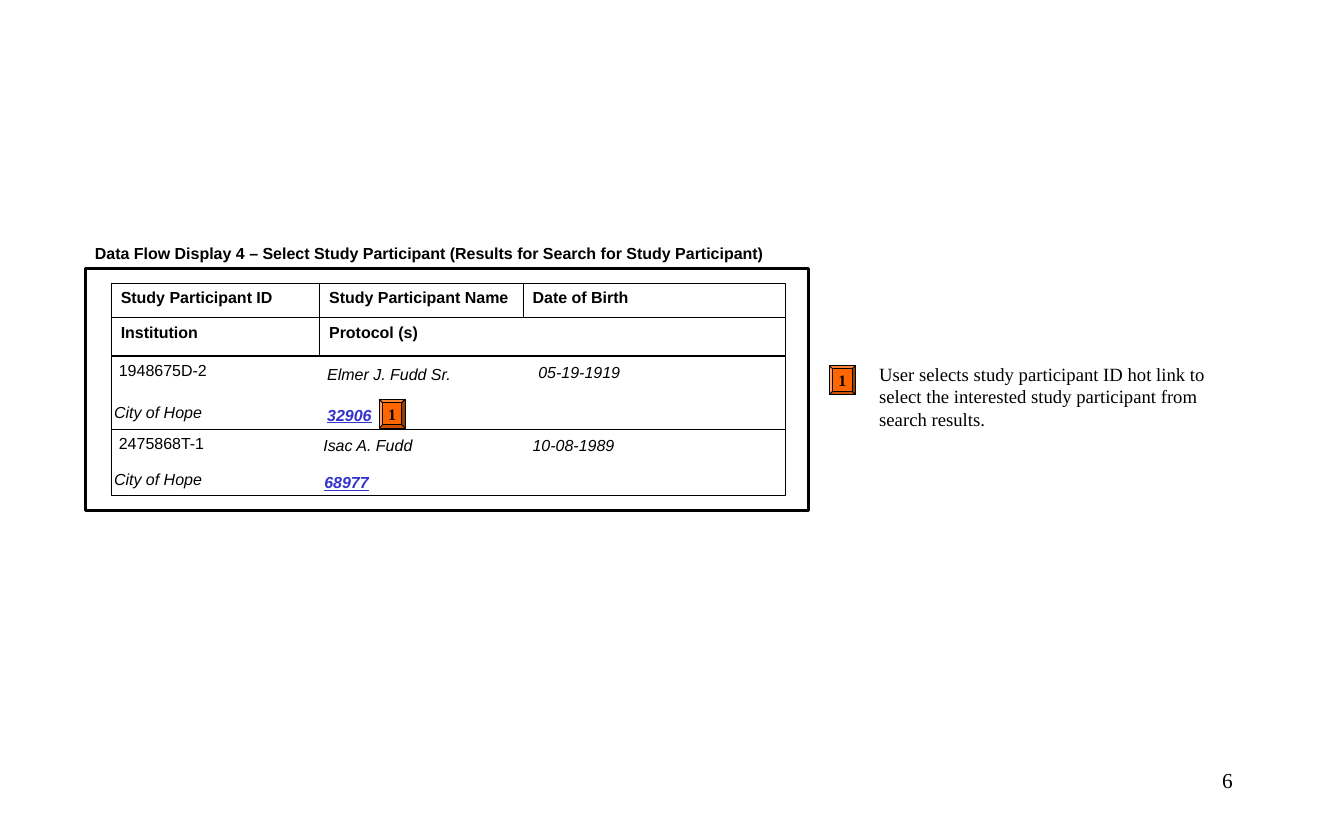
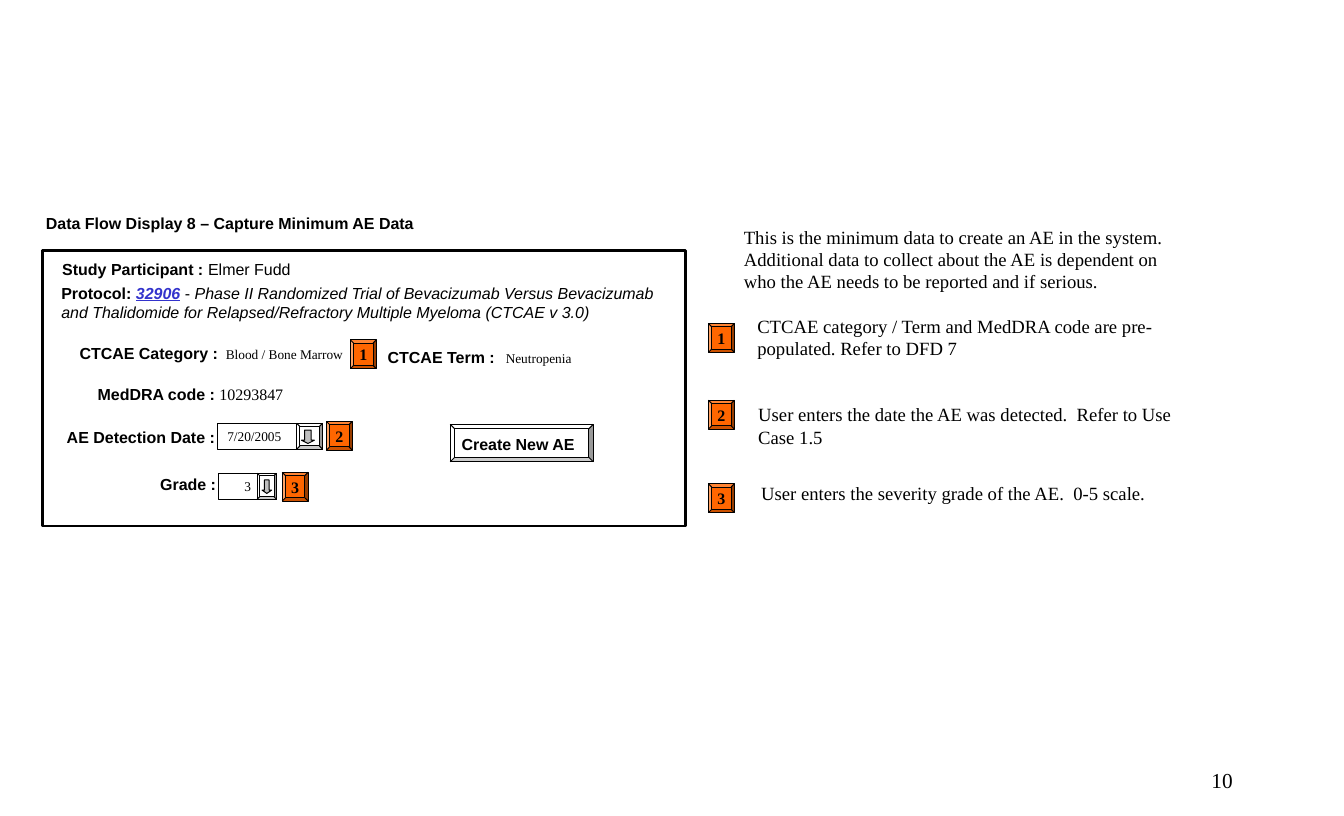
"""Build two data flow display slides for adverse event reporting."""
from pptx import Presentation
from pptx.dml.color import RGBColor
from pptx.enum.shapes import MSO_SHAPE
from pptx.enum.text import MSO_ANCHOR, PP_ALIGN
from pptx.util import Inches, Pt

COLUMNS, ROWS = 14, 8.5
SLIDE_WIDTH, SLIDE_HEIGHT = Inches(COLUMNS), Inches(ROWS)
COLORS = {"ink": "000000", "paper": "FFFFFF", "badge": "FF6600",
          "link": "3333CC", "arrow": "C0C0C0"}
SANS, SERIF = "Arial", "Times New Roman"
ALIGNMENTS = {"left": PP_ALIGN.LEFT, "center": PP_ALIGN.CENTER,
              "right": PP_ALIGN.RIGHT}
BADGE_WIDTH, BADGE_HEIGHT = 0.27, 0.3
LINK = {"color": "link", "bold": True, "italic": True, "underline": True}
NOTE = {"font": SERIF, "size": 14}
VALUE = {"font": SERIF, "size": 10}


def color_of(name):
    """Return the named palette color."""
    return RGBColor.from_string(COLORS[name])


def place(left, top, width, height):
    """Turn grid columns and rows into slide lengths."""
    across, down = SLIDE_WIDTH / COLUMNS, SLIDE_HEIGHT / ROWS
    return (round(left * across), round(top * down),
            round(width * across), round(height * down))


def write_text(shape, content, align="left", anchor=MSO_ANCHOR.TOP, wrap=True,
               margins=(0.1, 0.05), **style):
    """Write a string, or a list of (text, style) runs, into a shape."""
    frame = shape.text_frame
    frame.word_wrap = wrap
    frame.vertical_anchor = anchor
    frame.margin_left = frame.margin_right = Inches(margins[0])
    frame.margin_top = frame.margin_bottom = Inches(margins[1])
    paragraph = frame.paragraphs[0]
    paragraph.alignment = ALIGNMENTS[align]
    runs = [(content, {})] if isinstance(content, str) else content
    for text, changes in runs:
        look = {**style, **changes}
        run = paragraph.add_run()
        run.text = text
        run.font.name = look.get("font", SANS)
        run.font.size = Pt(look.get("size", 12))
        run.font.bold = look.get("bold", False)
        run.font.italic = look.get("italic", False)
        run.font.underline = look.get("underline", False)
        run.font.color.rgb = color_of(look.get("color", "ink"))


def add_text(slide, box, content, **style):
    """Add a text box."""
    write_text(slide.shapes.add_textbox(*place(*box)), content, **style)


def add_box(slide, box, kind=MSO_SHAPE.RECTANGLE, fill=None, line=0.75):
    """Add a preset shape with an optional fill and outline."""
    shape = slide.shapes.add_shape(kind, *place(*box))
    shape.shadow.inherit = False
    if fill:
        shape.fill.solid()
        shape.fill.fore_color.rgb = color_of(fill)
    else:
        shape.fill.background()
    if line:
        shape.line.color.rgb = color_of("ink")
        shape.line.width = Pt(line)
    else:
        shape.line.fill.background()
    return shape


def add_badge(slide, left, top, number):
    """Add an orange numbered badge."""
    badge = add_box(slide, (left, top, BADGE_WIDTH, BADGE_HEIGHT),
                    MSO_SHAPE.BEVEL, "badge")
    write_text(badge, number, align="center", anchor=MSO_ANCHOR.MIDDLE,
               wrap=False, font=SERIF, bold=True)


def add_value(slide, box, text, line=None, **style):
    """Add a white field holding a value."""
    field = add_box(slide, box, fill="paper", line=line)
    write_text(field, text, **{**VALUE, **style})


def add_dropdown(slide, box, button_width, text, align):
    """Add a field with a drop-down button at its right end."""
    left, top, width, height = box
    add_value(slide, box, text, line=0.75, align=align)
    button_left = left + width - button_width
    add_box(slide, (button_left, top, button_width, height),
            MSO_SHAPE.BEVEL, "paper")
    arrow_width = button_width / 2
    arrow = add_box(slide, (button_left + 0.05, top + 0.07, arrow_width, 0.14),
                    MSO_SHAPE.DOWN_ARROW, "arrow")
    arrow.adjustments[1] = 0.034 / arrow_width


def add_display(presentation, title, title_box, frame_box, number):
    """Add a slide with its title, framed panel and slide number."""
    slide = presentation.slides.add_slide(presentation.slide_layouts[6])
    add_text(slide, title_box, title, bold=True)
    add_box(slide, frame_box, line=2.25)
    add_text(slide, (10.03, 7.93, 2.92, 0.31), number, align="right",
             margins=(0.11, 0.06), font=SERIF, size=16)
    return slide


def build_search_results(presentation):
    """Build the study participant search results."""
    slide = add_display(
        presentation,
        "Data Flow Display 4 – Select Study Participant "
        "(Results for Search for Study Participant)",
        (0.89, 2.49, 7.54, 0.3), (0.89, 2.8, 7.53, 2.52), "6")
    first, second, third, end = 1.16, 3.33, 5.45, 8.18
    header_tops = (2.95, 3.31, 3.7)
    headers = [(0, first, second, "Study Participant ID"),
               (0, second, third, "Study Participant Name"),
               (0, third, end, "Date of Birth"),
               (1, first, second, "Institution"),
               (1, second, end, "Protocol (s)")]
    for row, left, right, text in headers:
        top = header_tops[row]
        cell = add_box(slide, (left, top, right - left,
                               header_tops[row + 1] - top))
        write_text(cell, text, bold=True)

    italic = {"italic": True}
    participants = [
        (3.71, 0.76, [(1.14, 0, "1948675D-2", {}),
                      (3.31, 0.04, "Elmer J. Fudd Sr.", italic),
                      (5.51, 0.02, "05-19-1919", italic),
                      (1.09, 0.43, "City of Hope", italic),
                      (3.31, 0.46, "32906", LINK)]),
        (4.47, 0.69, [(1.14, 0, "2475868T-1", {}),
                      (3.27, 0.02, "Isac A. Fudd", italic),
                      (5.45, 0.02, "10-08-1989", italic),
                      (1.09, 0.37, "City of Hope", italic),
                      (3.28, 0.4, "68977", LINK)]),
    ]
    for top, height, entries in participants:
        add_box(slide, (first, top, end - first, height))
        for left, drop, text, style in entries:
            add_text(slide, (left, top + drop, 2.1, 0.3), text, **style)

    add_badge(slide, 3.95, 4.16, "1")
    add_badge(slide, 8.64, 3.81, "1")
    add_text(slide, (9.06, 3.73, 3.92, 0.8),
             "User selects study participant ID hot link to select the "
             "interested study participant from search results.", **NOTE)


def build_event_form(presentation):
    """Build the form that captures the minimum AE data."""
    slide = add_display(
        presentation, "Data Flow Display 8 – Capture Minimum AE Data",
        (0.38, 2.18, 7.45, 0.3), (0.44, 2.61, 6.7, 2.87), "10")
    add_text(slide, (0.55, 2.65, 6.31, 0.3),
             [("Study Participant : ", {"bold": True}), ("Elmer Fudd", {})])
    add_text(slide, (0.54, 2.9, 6.41, 0.5),
             [("Protocol: ", {"bold": True}), ("32906", LINK), (" - ", {}),
              ("Phase II Randomized Trial of Bevacizumab Versus Bevacizumab "
               "and Thalidomide for Relapsed/Refractory Multiple Myeloma "
               "(CTCAE v 3.0)", {"italic": True})])

    add_value(slide, (2.21, 3.56, 1.46, 0.27), "Blood / Bone Marrow",
              align="right")
    add_value(slide, (5.17, 3.6, 1.59, 0.27), "Neutropenia")
    add_value(slide, (2.06, 3.96, 0.99, 0.27), "10293847", align="right",
              size=12)
    add_dropdown(slide, (2.27, 4.41, 1.09, 0.27), 0.27, "7/20/2005", "left")
    add_dropdown(slide, (2.28, 4.93, 0.6, 0.27), 0.2, "3", "center")

    labels = [(0.73, 3.53, 1.72, "CTCAE Category :", "left"),
              (3.94, 3.57, 1.44, "CTCAE Term :", "left"),
              (0.84, 3.96, 1.5, "MedDRA code :", "right"),
              (0.56, 4.4, 1.78, "AE Detection Date :", "right"),
              (1.31, 4.89, 1.04, "Grade :", "right")]
    for left, top, width, text, align in labels:
        add_text(slide, (left, top, width, 0.32), text, align=align, bold=True)

    add_box(slide, (4.69, 4.42, 1.49, 0.39), MSO_SHAPE.BEVEL, "paper")
    add_text(slide, (4.71, 4.48, 1.73, 0.28), "Create New AE", bold=True)

    add_text(slide, (7.65, 2.3, 4.81, 0.8),
             "This is the minimum data to create an AE in the system.  "
             "Additional data to collect about the AE is dependent on who the "
             "AE needs to be reported and if serious.", **NOTE)
    steps = [
        ((3.65, 3.54), 3.37, (7.79, 3.23, 5.03, 0.57),
         "CTCAE category / Term and MedDRA code are pre-populated. "
         "Refer to DFD 7"),
        ((3.4, 4.39), 4.17, (7.8, 4.15, 4.74, 0.57),
         "User enters the date the AE was detected.  Refer to Use Case 1.5"),
        ((2.94, 4.92), 5.04, (7.83, 4.97, 4.61, 0.34),
         "User enters the severity grade of the AE.  0-5 scale."),
    ]
    for number, (marker, key_top, note_box, note) in enumerate(steps, 1):
        add_badge(slide, *marker, str(number))
        add_badge(slide, 7.38, key_top, str(number))
        add_text(slide, note_box, note, **NOTE)


def main():
    """Create and save the presentation."""
    presentation = Presentation()
    presentation.slide_width = SLIDE_WIDTH
    presentation.slide_height = SLIDE_HEIGHT
    build_search_results(presentation)
    build_event_form(presentation)
    presentation.save("out.pptx")


if __name__ == "__main__":
    main()
